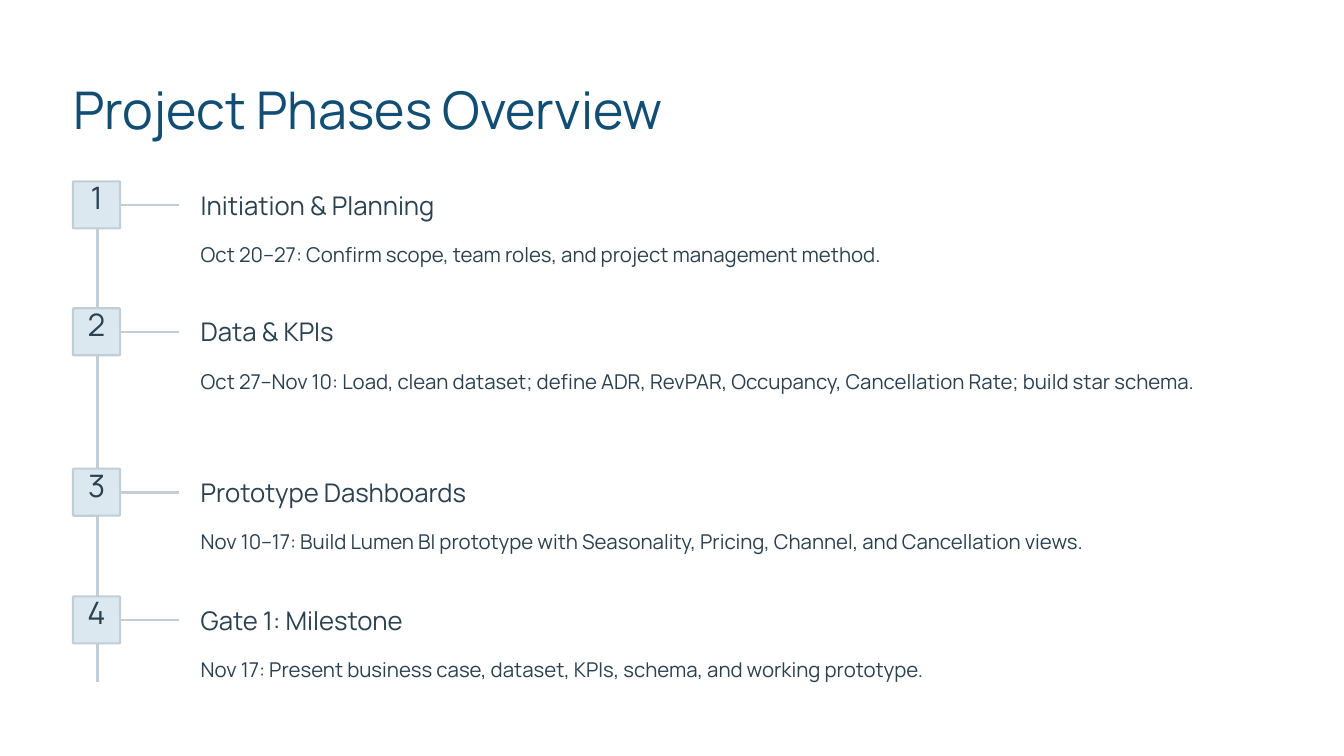
from lxml.etree import SubElement
from pptx import Presentation
from pptx.dml.color import RGBColor
from pptx.enum.shapes import MSO_CONNECTOR, MSO_SHAPE
from pptx.enum.text import MSO_ANCHOR, MSO_AUTO_SIZE, PP_ALIGN
from pptx.oxml.ns import qn
from pptx.util import Inches, Pt

COLORS = {"title": "124E73", "text": "2B4150", "line": "C1CED6", "box": "DBE8F0"}
FONT = "Manrope"
LEFT, BOX_SIZE = 0.87, 0.56
SPINE_X, SPINE_TOP, SPINE_BOTTOM = 1.16, 2.16, 8.12
SPOKE_LEFT, SPOKE_RIGHT = 1.39, 2.13
TEXT_LEFT, TEXT_WIDTH = 2.39, 12.74

PHASES = [
    (2.16, 0.4, "Initiation & Planning",
     "Oct 20–27: Confirm scope, team roles, and project management method."),
    (3.67, 0.79, "Data & KPIs",
     "Oct 27–Nov 10: Load, clean dataset; define ADR, RevPAR, Occupancy, "
     "Cancellation Rate; build star schema."),
    (5.58, 0.4, "Prototype Dashboards",
     "Nov 10–17: Build Lumen BI prototype with Seasonality, Pricing, Channel, "
     "and Cancellation views."),
    (7.1, 0.4, "Gate 1: Milestone",
     "Nov 17: Present business case, dataset, KPIs, schema, and working prototype."),
]


class TimelineSlide:
    def __init__(self, presentation):
        self.slide = presentation.slides.add_slide(presentation.slide_layouts[5])
        self.shapes = self.slide.shapes

    def color(self, name):
        return RGBColor.from_string(COLORS[name])

    def set_text(self, shape, text, size, spacing, color="text", align=PP_ALIGN.LEFT, top=0):
        frame = shape.text_frame
        frame.text = text
        frame.word_wrap = True
        frame.auto_size = MSO_AUTO_SIZE.NONE
        frame.vertical_anchor = MSO_ANCHOR.TOP
        frame.margin_left = frame.margin_right = frame.margin_bottom = 0
        frame.margin_top = Inches(top)
        paragraph = frame.paragraphs[0]
        paragraph.alignment = align
        paragraph.line_spacing = Pt(spacing)
        font = paragraph.runs[0].font
        font.name = FONT
        font.size = Pt(size)
        font.color.rgb = self.color(color)

    def title(self, text, left, top, width, height):
        title = self.shapes.title
        title.left, title.top = Inches(left), Inches(top)
        title.width, title.height = Inches(width), Inches(height)
        self.set_text(title, text, 44.5, 55.5, "title")

    def text(self, text, left, top, width, height, size, spacing):
        box = self.shapes.add_textbox(
            Inches(left), Inches(top), Inches(width), Inches(height))
        self.set_text(box, text, size, spacing)

    def line(self, x1, y1, x2, y2):
        connector = self.shapes.add_connector(
            MSO_CONNECTOR.STRAIGHT, Inches(x1), Inches(y1), Inches(x2), Inches(y2))
        connector.line.color.rgb = self.color("line")
        connector.line.width = Pt(2.2)
        SubElement(connector._element.spPr, qn("a:effectLst"))

    def number_box(self, number, left, top):
        box = self.shapes.add_shape(
            MSO_SHAPE.ROUNDED_RECTANGLE, Inches(left), Inches(top),
            Inches(BOX_SIZE), Inches(BOX_SIZE))
        box.adjustments[0] = 0.02
        box.shadow.inherit = False
        box.fill.solid()
        box.fill.fore_color.rgb = self.color("box")
        box.line.color.rgb = self.color("line")
        box.line.width = Pt(1.8)
        self.set_text(box, str(number), 26.5, 26.5, align=PP_ALIGN.CENTER, top=0.04)

    def phase(self, number, top, detail_height, heading, detail):
        middle = top + BOX_SIZE / 2
        self.line(SPOKE_LEFT, middle, SPOKE_RIGHT, middle)
        self.number_box(number, LEFT, top)
        self.text(heading, TEXT_LEFT, top + 0.08, 3.5, 0.39, 22, 27.5)
        self.text(detail, TEXT_LEFT, top + 0.62, TEXT_WIDTH, detail_height, 17.5, 28.5)


def main():
    presentation = Presentation()
    presentation.slide_width = Inches(16)
    presentation.slide_height = Inches(9)
    timeline = TimelineSlide(presentation)
    timeline.title("Project Phases Overview", LEFT, 0.89, 7.59, 0.78)
    timeline.line(SPINE_X, SPINE_TOP, SPINE_X, SPINE_BOTTOM)
    for number, phase in enumerate(PHASES, start=1):
        timeline.phase(number, *phase)
    presentation.save("out.pptx")


if __name__ == "__main__":
    main()
